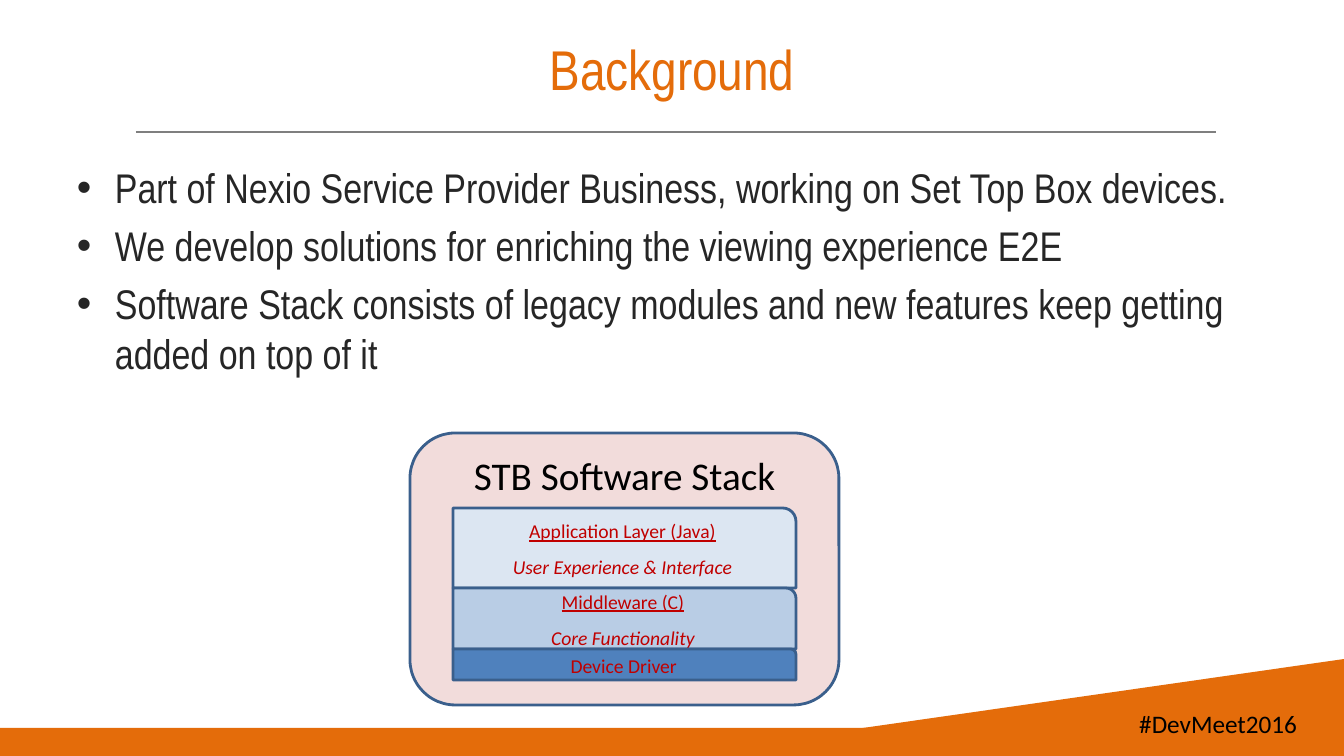
from lxml.etree import SubElement
from pptx import Presentation
from pptx.dml.color import RGBColor
from pptx.enum.shapes import MSO_CONNECTOR, MSO_SHAPE
from pptx.enum.text import MSO_ANCHOR, PP_ALIGN
from pptx.oxml.ns import qn
from pptx.util import Pt

TITLE = "Background"
HASHTAG = "#DevMeet2016"
BULLETS = [
    "Part of Nexio Service Provider Business, working on Set Top Box devices.",
    "We develop solutions for enriching the viewing experience E2E",
    "Software Stack consists of legacy modules and new features keep getting "
    "added on top of it",
]
STACK_TITLE = "STB Software Stack"
# Top to bottom: heading, description, height in px, fill
LAYERS = [
    ("Application Layer (Java)", "User Experience & Interface", 80, "app"),
    ("Middleware (C)", "Core Functionality", 61, "middleware"),
    ("Device Driver", None, 31, "driver"),
]
COLORS = {
    "orange": "E46C0A", "rule": "7F7F7F", "body": "262626", "black": "000000",
    "stack": "F2DCDB", "outline": "3A5F8C", "layer_text": "C00000",
    "app": "DCE6F2", "middleware": "B9CDE5", "driver": "4F81BD",
}
SLIDE_W, SLIDE_H = 1344, 756
EMU_PER_PX = 12192000 / SLIDE_W
STACK_BOX = (410, 433, 429, 272)
LAYER_LEFT, LAYER_TOP, LAYER_W = 453, 508, 343
BULLET_INDENT = 38
WEDGE = [(821, 734), (1344, 659), (1344, 750), (823, 750)]


def px(n):
    return round(n * EMU_PER_PX)


def rgb(name):
    return RGBColor.from_string(COLORS[name])


def style(p, size, color, font="Calibri", align=PP_ALIGN.CENTER):
    p.alignment = align
    for r in p.runs:
        r.font.name = font
        r.font.size = Pt(size)
        r.font.color.rgb = rgb(color)


def paint(sp, fill, outlined=False):
    sp.shadow.inherit = False
    sp.fill.solid()
    sp.fill.fore_color.rgb = rgb(fill)
    if outlined:
        sp.line.color.rgb = rgb("outline")
        sp.line.width = Pt(2)
    else:
        sp.line.fill.background()


def add_box(s, shape, box, fill, outlined=False):
    sp = s.shapes.add_shape(shape, *map(px, box))
    paint(sp, fill, outlined)
    return sp


def add_text(s, box):
    tf = s.shapes.add_textbox(*map(px, box)).text_frame
    tf.word_wrap = True
    return tf


def add_footer(s):
    add_box(s, MSO_SHAPE.RECTANGLE, (0, 728, SLIDE_W, 28), "orange")
    builder = s.shapes.build_freeform(*WEDGE[0], scale=EMU_PER_PX)
    builder.add_line_segments(WEDGE[1:], close=True)
    paint(builder.convert_to_shape(), "orange")
    tf = add_text(s, (1107, 703, 200, 40))
    tf.text = HASHTAG
    style(tf.paragraphs[0], 18, "black", align=PP_ALIGN.RIGHT)


def add_title(s):
    sp = s.shapes.title
    sp.left, sp.top, sp.width, sp.height = map(px, (67, 5, 1210, 126))
    tf = sp.text_frame
    tf.text = TITLE
    tf.vertical_anchor = MSO_ANCHOR.MIDDLE
    style(tf.paragraphs[0], 40, "orange", "Arial Narrow")
    rule = s.shapes.add_connector(MSO_CONNECTOR.STRAIGHT, *map(px, (136, 132, 1216, 132)))
    rule.line.color.rgb = rgb("rule")
    rule.line.width = Pt(0.75)
    SubElement(rule.element.spPr, qn("a:effectLst"))


def add_bullets(s):
    tf = add_text(s, (67, 157, 1210, 252))
    tf.text = "\n".join(BULLETS)
    for p in tf.paragraphs:
        style(p, 29.6, "body", "Arial Narrow", PP_ALIGN.LEFT)
        p.space_before = Pt(6)
        pPr = p._p.get_or_add_pPr()
        pPr.set("marL", str(px(BULLET_INDENT)))
        pPr.set("indent", str(-px(BULLET_INDENT)))
        SubElement(pPr, qn("a:buFont"), typeface="Arial")
        SubElement(pPr, qn("a:buChar"), char="•")


def add_stack(s):
    stack = add_box(s, MSO_SHAPE.ROUNDED_RECTANGLE, STACK_BOX, "stack", True)
    tf = stack.text_frame
    tf.text = STACK_TITLE
    tf.vertical_anchor = MSO_ANCHOR.TOP
    style(tf.paragraphs[0], 28, "black")

    top = LAYER_TOP
    for heading, description, height, fill in LAYERS:
        box = (LAYER_LEFT, top, LAYER_W, height)
        tf = add_box(s, MSO_SHAPE.ROUND_1_RECTANGLE, box, fill, True).text_frame
        tf.vertical_anchor = MSO_ANCHOR.MIDDLE
        tf.text = "\n".join(filter(None, (heading, description)))
        for p in tf.paragraphs:
            style(p, 14, "layer_text")
            p.line_spacing = 1.07
            p.space_after = Pt(8)
        if description:
            tf.paragraphs[0].runs[0].font.underline = True
            tf.paragraphs[1].runs[0].font.italic = True
        top += height


def main():
    prs = Presentation()
    prs.slide_width, prs.slide_height = px(SLIDE_W), px(SLIDE_H)
    s = prs.slides.add_slide(prs.slide_layouts[5])
    add_footer(s)
    add_title(s)
    add_bullets(s)
    add_stack(s)
    prs.save("out.pptx")


if __name__ == "__main__":
    main()
